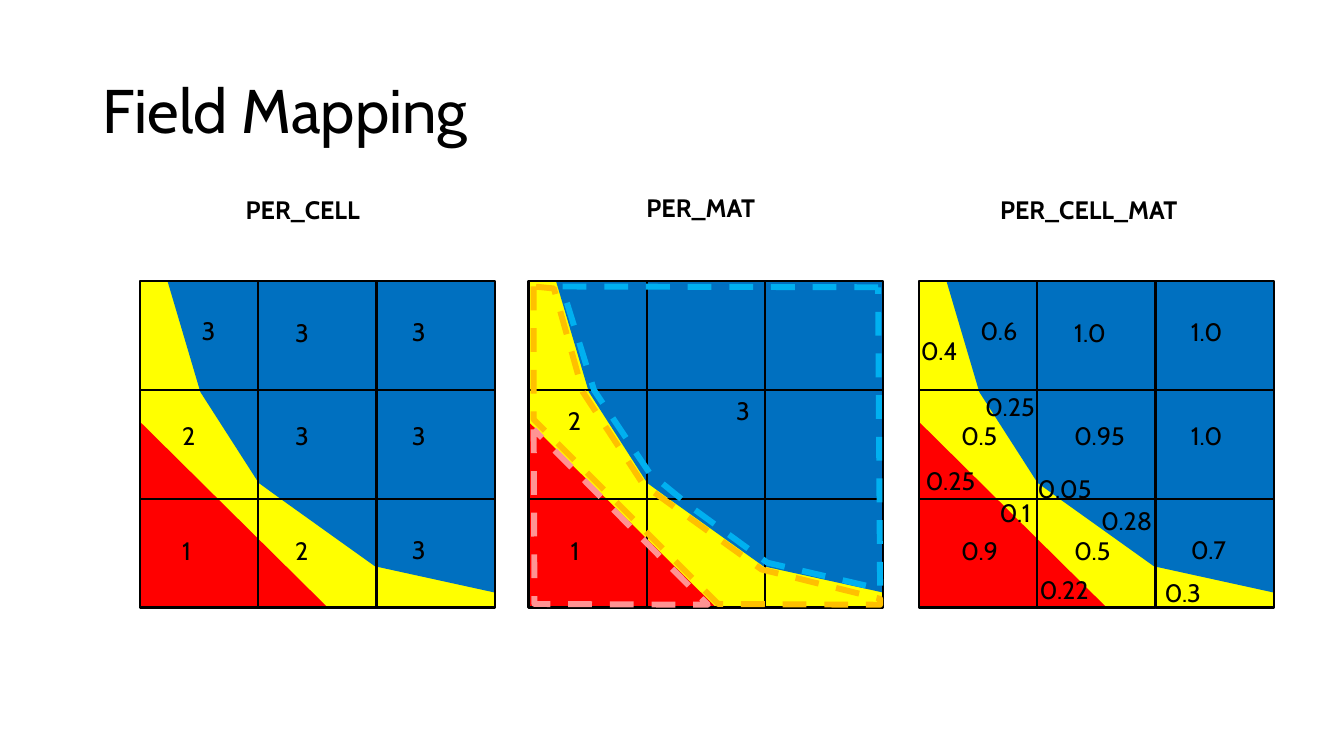
"""Build the field mapping slide with three grids of material cells."""
from pptx import Presentation
from pptx.dml.color import RGBColor
from pptx.enum.dml import MSO_LINE
from pptx.enum.shapes import MSO_SHAPE
from pptx.enum.text import MSO_ANCHOR, MSO_AUTO_SIZE, PP_ALIGN
from pptx.util import Cm, Pt

RECT, WEDGE = MSO_SHAPE.RECTANGLE, MSO_SHAPE.RIGHT_TRIANGLE
DASH = MSO_LINE.DASH
LEFT, CENTER = PP_ALIGN.LEFT, PP_ALIGN.CENTER
MIDDLE = MSO_ANCHOR.MIDDLE
GROW, FIXED = MSO_AUTO_SIZE.SHAPE_TO_FIT_TEXT, MSO_AUTO_SIZE.NONE

BLACK = RGBColor(0, 0, 0)
YELLOW = RGBColor(0xFF, 0xFF, 0)
RED = RGBColor(0xFF, 0, 0)
BLUE = RGBColor(0, 0x70, 0xC0)
CYAN = RGBColor(0, 0xB0, 0xF0)
PINK = RGBColor(0xFF, 0x93, 0x93)
ORANGE = RGBColor(0xFF, 0xC0, 0)

TITLE = {"name": "Cabin", "size": Pt(44), "bold": False}
HEAD = {"name": "Cabin", "size": Pt(18), "bold": True}
LABEL = {"name": "Cabin", "size": Pt(18), "bold": False}

TOP, COUNT = 7.09, 3
CELL_W, CELL_H = 2.98, 2.74
WIDTH, HEIGHT = COUNT * CELL_W, COUNT * CELL_H

BLUE_ZONE = [(0.7, 0.02), (1.52, 2.79), (2.99, 5.08), (3.65, 5.56),
             (5.92, 7.18), (8.93, 7.84), (8.93, 0.02)]
BORDERS = [
    (CYAN, [(8.81, 0.15), (0.84, 0.13), (1.65, 2.74), (3.05, 4.83),
            (4.14, 5.72), (6.02, 7.09), (8.86, 7.75)]),
    (PINK, [(0.13, 3.73), (0.15, 8.13), (4.52, 8.15)]),
    (ORANGE, [(0.13, 0.13), (0.13, 3.48), (4.78, 8.13), (8.86, 8.15),
              (8.86, 8), (5.87, 7.26), (2.9, 5.13), (1.37, 2.79),
              (0.64, 0.18)]),
]

SPOTS = [(1.3, 0.74), (3.66, 0.79), (6.6, 0.76),
         (0.81, 3.38), (3.66, 3.38), (6.6, 3.38),
         (0.81, 6.27), (3.66, 6.27), (6.6, 6.25)]
CELL_TEXT = ["3", "3", "3", "2", "3", "3", "1", "2", "3"]
MIX_TEXT = ["0.6", "1.0", "1.0", "0.5", "0.95", "1.0", "0.9", "0.5", "0.7"]
MAT_NOTES = [("1", (0.81, 6.27)), ("2", (0.74, 3)), ("3", (4.98, 2.74))]
MIX_NOTES = [("0.4", (-0.2, 1.24)), ("0.25", (1.42, 2.64)),
             ("0.25", (-0.08, 4.52)), ("0.05", (2.74, 4.72)),
             ("0.3", (5.94, 7.34)), ("0.22", (2.79, 7.26)),
             ("0.28", (4.34, 5.51)), ("0.1", (1.78, 5.31))]

PANELS = [
    ("PER_CELL", 3.53, (2.97, 4.78), list(zip(CELL_TEXT, SPOTS)), []),
    ("PER_MAT", 13.32, (13, 4.72), MAT_NOTES, BORDERS),
    ("PER_CELL_MAT", 23.16, (22.78, 4.78),
     list(zip(MIX_TEXT, SPOTS)) + MIX_NOTES, []),
]


def write(frame, text, style, align=LEFT):
    """Put one styled line of black text in a frame."""
    para = frame.paragraphs[0]
    para.alignment = align
    run = para.add_run()
    run.text = text
    for key, value in style.items():
        setattr(run.font, key, value)
    run.font.color.rgb = BLACK
    return para


def add_text(shapes, text, left, top, width, style, align=LEFT):
    """Add a text box that grows with its text."""
    box = shapes.add_textbox(Cm(left), Cm(top), Cm(width), Cm(1.02))
    box.text_frame.word_wrap = True
    box.text_frame.auto_size = GROW
    write(box.text_frame, text, style, align)


def paint(shape, fill=None, line=None, weight=1.5):
    """Set the fill and line of a shape and drop its shadow."""
    shape.shadow.inherit = False
    for part, color in ((shape.fill, fill), (shape.line.fill, line)):
        if color is None:
            part.background()
        else:
            part.solid()
            part.fore_color.rgb = color
    if line is not None:
        shape.line.width = Pt(weight)


def add_block(shapes, kind, left, top, width, height, **look):
    """Add a painted preset shape."""
    paint(shapes.add_shape(kind, Cm(left), Cm(top), Cm(width), Cm(height)),
          **look)


def add_zone(shapes, left, points, **look):
    """Add a closed, painted outline placed from a grid corner."""
    first, *rest = [(Cm(left + x), Cm(TOP + y)) for x, y in points]
    pen = shapes.build_freeform(*first)
    pen.add_line_segments(rest, close=True)
    zone = pen.convert_to_shape()
    paint(zone, **look)
    return zone


def add_panel(slide, name, left, head, notes, borders):
    """Add a heading and its grid of materials, values and borders."""
    add_text(slide.shapes, name, *head, 9.32, HEAD, CENTER)
    shapes = slide.shapes.add_group_shape().shapes
    add_block(shapes, RECT, left, TOP, WIDTH, HEIGHT, fill=YELLOW)
    add_block(shapes, WEDGE, left, TOP + 3.54, 4.74, 4.69, fill=RED)
    add_zone(shapes, left, BLUE_ZONE, fill=BLUE)
    for row in range(COUNT):
        for col in range(COUNT):
            add_block(shapes, RECT, left + col * CELL_W, TOP + row * CELL_H,
                      CELL_W, CELL_H, line=BLACK)
    for text, (x, y) in notes:
        add_text(shapes, text, left + x, TOP + y, 2, LABEL)
    for color, points in borders:
        zone = add_zone(shapes, left, points, line=color, weight=4.25)
        zone.line.dash_style = DASH


def add_title(slide, text):
    """Move and fill the title placeholder."""
    title = slide.shapes.title
    place = {"left": Cm(2.34), "top": Cm(1.02),
             "width": Cm(29.21), "height": Cm(3.68)}
    for key, value in place.items():
        setattr(title, key, value)
    frame = title.text_frame
    for key, value in {"vertical_anchor": MIDDLE, "auto_size": FIXED}.items():
        setattr(frame, key, value)
    write(frame, text, TITLE).line_spacing = 0.9


def main():
    """Build and save the slide."""
    deck = Presentation()
    deck.slide_width, deck.slide_height = Cm(33.87), Cm(19.05)
    slide = deck.slides.add_slide(deck.slide_layouts[5])
    add_title(slide, "Field Mapping")
    for panel in PANELS:
        add_panel(slide, *panel)
    deck.save("out.pptx")


if __name__ == "__main__":
    main()
